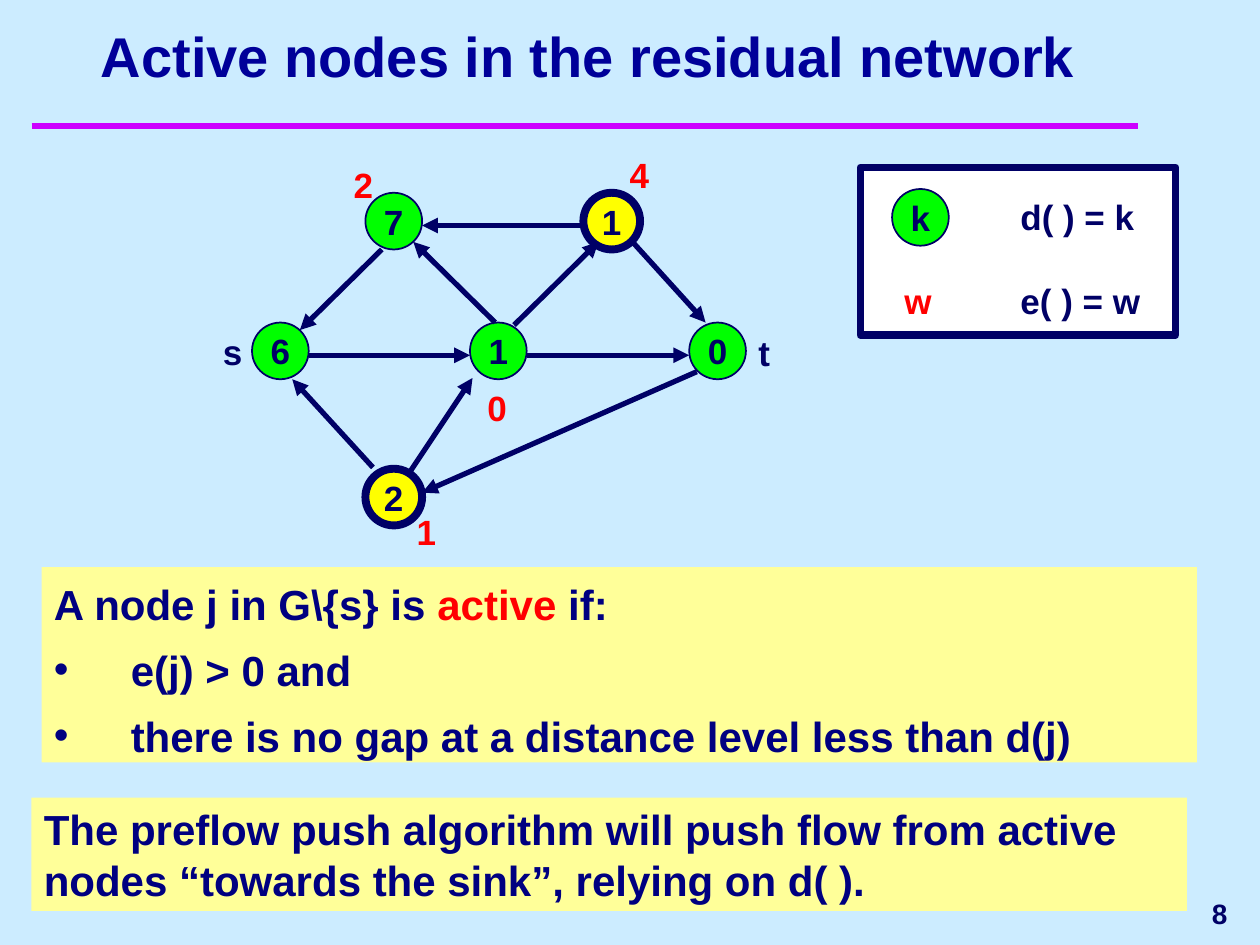
from lxml.etree import SubElement
from pptx import Presentation
from pptx.dml.color import RGBColor as Color
from pptx.enum.shapes import MSO_CONNECTOR as Link, MSO_SHAPE as Preset
from pptx.enum.text import MSO_ANCHOR as Anchor, PP_ALIGN as Align
from pptx.oxml.ns import qn
from pptx.util import Inches, Pt

COLORS = {
    "sky": "CCECFF", "magenta": "CC00FF", "title": "000099", "ink": "000066",
    "navy": "000080", "red": "FF0000", "cream": "FFFF99", "green": "00FF00",
    "yellow": "FFFF00", "white": "FFFFFF",
}


def color(name):
    return Color.from_string(COLORS[name])


class SlideBuilder:
    font = "Arial"
    node_size = 0.45

    def __init__(self, page):
        self.page = page
        self.canvas = page.shapes
        page.background.fill.solid()
        page.background.fill.fore_color.rgb = color("sky")

    def start_group(self):
        self.canvas = self.page.shapes.add_group_shape().shapes

    def end_group(self):
        self.canvas = self.page.shapes

    def add_spans(self, para, spans, size, align=Align.LEFT):
        para.alignment = align
        for text, ink in spans:
            span = para.add_run()
            span.text = text
            span.font.name = self.font
            span.font.size = Pt(size)
            span.font.bold = True
            span.font.color.rgb = color(ink)

    def label(self, text, left, top, width, height=0.44, size=20, ink="ink",
              align=Align.LEFT, anchor=Anchor.TOP):
        box = self.canvas.add_textbox(*map(Inches, (left, top, width, height)))
        frame = box.text_frame
        frame.word_wrap = True
        frame.vertical_anchor = anchor
        self.add_spans(frame.paragraphs[0], [(text, ink)], size, align)

    def shape(self, preset, left, top, width, height, fill, border=0):
        shape = self.canvas.add_shape(preset, *map(Inches, (left, top, width, height)))
        shape.shadow.inherit = False
        shape.fill.solid()
        shape.fill.fore_color.rgb = color(fill)
        if border:
            shape.line.color.rgb = color("ink")
            shape.line.width = Pt(border)
        else:
            shape.line.fill.background()
        return shape

    def node(self, text, left, top, active=False):
        fill, border = ("yellow", 4.5) if active else ("green", 1)
        shape = self.shape(Preset.OVAL, left, top, self.node_size, self.node_size, fill, border)
        frame = shape.text_frame
        frame.word_wrap = False
        frame.vertical_anchor = Anchor.MIDDLE
        self.add_spans(frame.paragraphs[0], [(text, "ink")], 20, Align.CENTER)

    def panel(self, left, top, width, height, lines, spacing=1.0):
        frame = self.shape(Preset.RECTANGLE, left, top, width, height, "cream").text_frame
        frame.word_wrap = True
        frame.vertical_anchor = Anchor.TOP
        for index, (spans, bulleted) in enumerate(lines):
            para = frame.add_paragraph() if index else frame.paragraphs[0]
            para.line_spacing = spacing
            if index:
                para.space_before = Pt(6)
            if bulleted:
                self.bullet(para)
            self.add_spans(para, spans, 24)

    def bullet(self, para):
        props = para._p.get_or_add_pPr()
        props.set("marL", str(Inches(0.61)))
        props.set("indent", str(-Inches(0.61)))
        tint = SubElement(props, qn("a:buClr"))
        SubElement(tint, qn("a:srgbClr")).set("val", COLORS["navy"])
        SubElement(props, qn("a:buFont")).set("typeface", self.font)
        SubElement(props, qn("a:buChar")).set("char", "•")

    def line(self, start, end, ink="ink", width=3, arrow=True):
        line = self.canvas.add_connector(Link.STRAIGHT, *map(Inches, start + end))
        line.line.color.rgb = color(ink)
        line.line.width = Pt(width)
        if arrow:
            SubElement(line.line._get_or_add_ln(), qn("a:tailEnd")).set("type", "triangle")
        SubElement(line._element.spPr, qn("a:effectLst"))


def draw_network(builder):
    nodes = [
        ("6", 2, 2.56, False), ("1", 3.73, 2.56, False), ("0", 5.47, 2.56, False),
        ("7", 2.9, 1.53, False), ("1", 4.63, 1.53, True), ("2", 2.9, 3.72, True),
    ]
    arcs = [
        ((3.03, 1.98), (2.38, 2.62)), ((2.96, 3.71), (2.32, 3.01)),
        ((4.63, 1.79), (3.35, 1.79)), ((2.45, 2.82), (3.73, 2.82)),
        ((3.93, 2.56), (3.28, 1.92)), ((4.18, 2.82), (5.47, 2.82)),
        ((5.53, 2.95), (3.35, 3.91)), ((5.02, 1.92), (5.6, 2.56)),
        ((4.08, 2.58), (4.75, 1.92)), ((3.25, 3.75), (3.75, 3)),
    ]
    excesses = [("2", 2.67, 1.25), ("1", 3.17, 4), ("0", 3.73, 3.02), ("4", 4.86, 1.17)]
    builder.start_group()
    for node in nodes:
        builder.node(*node)
    for start, end in arcs:
        builder.line(start, end)
    for text, left, top in excesses:
        builder.label(text, left, top, 0.39, ink="red", align=Align.RIGHT)
    builder.label("s", 1.67, 2.57, 0.36)
    builder.label("t", 5.92, 2.58, 0.36)
    builder.end_group()


def draw_legend(builder):
    builder.start_group()
    builder.shape(Preset.RECTANGLE, 6.83, 1.33, 2.5, 1.33, "white", 4.5)
    builder.node("k", 7.08, 1.5)
    builder.label("w", 7.08, 2.17, 0.39, ink="red", align=Align.RIGHT)
    for text, top in (("d( ) = k", 1.5), ("e( ) = w", 2.17)):
        builder.label(text, 8, top, 1.25)
    builder.end_group()


def main():
    deck = Presentation()
    deck.slide_width, deck.slide_height = Inches(10), Inches(7.5)
    builder = SlideBuilder(deck.slides.add_slide(deck.slide_layouts[6]))
    builder.line((0.25, 1), (9.03, 1), "magenta", 4, arrow=False)
    builder.label("8", 7.92, 7, 1.92, 0.5, 16, align=Align.RIGHT, anchor=Anchor.MIDDLE)
    builder.label("Active nodes in the residual network", 0.42, 0.17, 8.5, 0.58, 32,
                  "title", Align.CENTER, Anchor.BOTTOM)
    builder.panel(0.33, 4.5, 9.17, 1.55, [
        ([("A node j in G\\{s} is ", "navy"), ("active", "red"), (" if:", "navy")], False),
        ([("e(j) > 0 and", "navy")], True),
        ([("there is no gap at a distance level less than d(j)", "navy")], True),
    ], 1.1)
    builder.panel(0.25, 6.33, 9.17, 0.9, [
        ([("The preflow push algorithm will push flow from active nodes "
           "“towards the sink”, relying on d( ).", "navy")], False),
    ])
    draw_network(builder)
    draw_legend(builder)
    deck.save("out.pptx")


if __name__ == "__main__":
    main()
